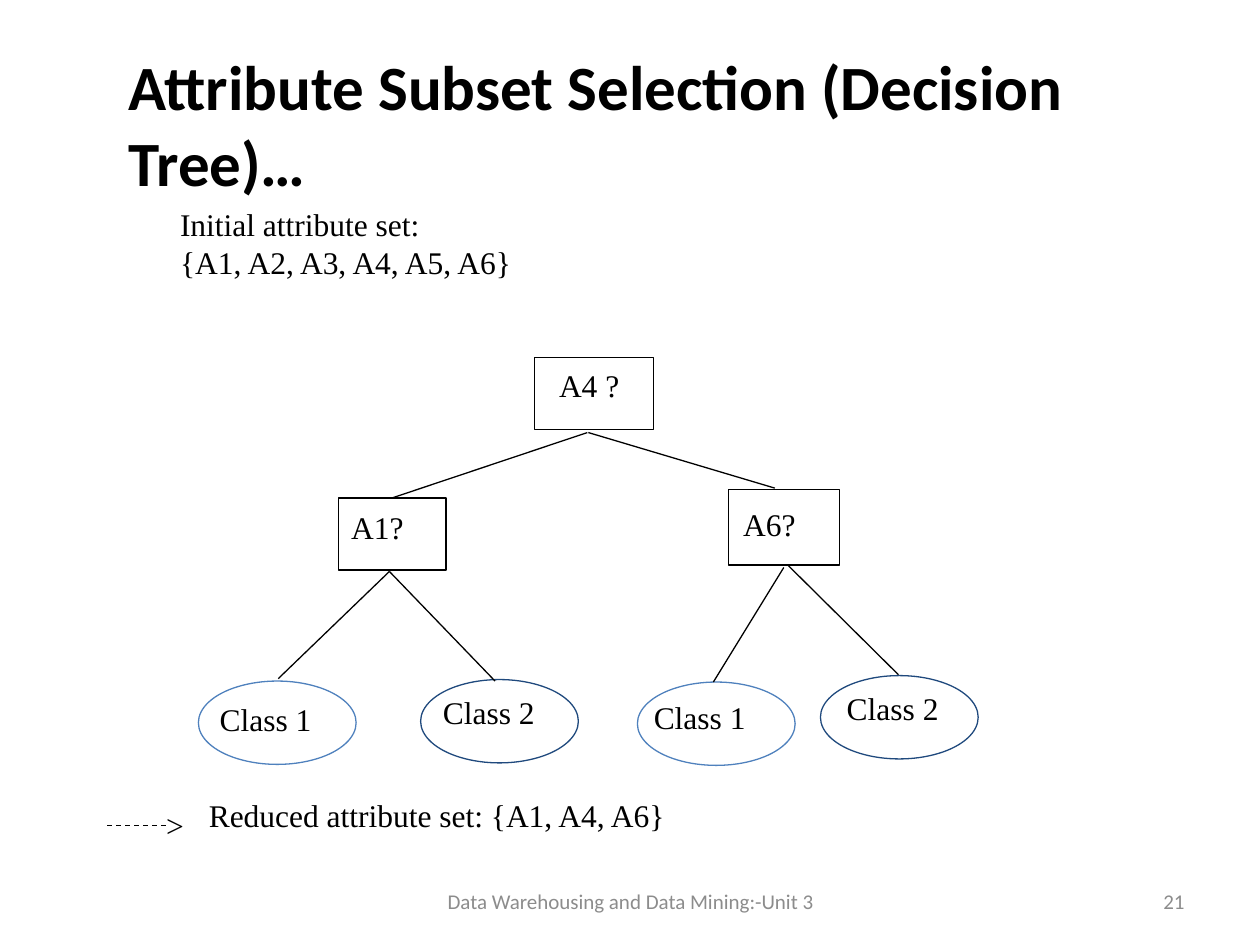
from dataclasses import dataclass

from lxml.etree import SubElement
from pptx import Presentation
from pptx.dml.color import RGBColor
from pptx.enum.dml import MSO_LINE_DASH_STYLE as Dash
from pptx.enum.shapes import MSO_CONNECTOR as Connector, MSO_SHAPE as Shape
from pptx.enum.text import MSO_ANCHOR as Anchor, PP_ALIGN as Align
from pptx.oxml.ns import qn
from pptx.util import Cm, Pt


@dataclass(frozen=True)
class Theme:
    ink: str = "000000"
    muted: str = "8C8C8C"
    class_one: str = "4F81BD"
    class_two: str = "1F497D"
    line_width: float = 0.75
    heading_font: str = "Calibri"
    body_font: str = "Times New Roman"
    heading_size: int = 36
    body_size: int = 18
    footer_size: int = 12


THEME = Theme()
BODY = {"name": THEME.body_font, "size": Pt(THEME.body_size)}
HEADING = {"name": THEME.heading_font, "size": Pt(THEME.heading_size), "bold": True}
FOOTER = {"name": THEME.heading_font, "size": Pt(THEME.footer_size)}


def set_values(target, values):
    for name, value in values.items():
        setattr(target, name, value)


def set_line(line, color):
    line.color.rgb = RGBColor.from_string(color)
    line.width = Pt(THEME.line_width)


def add_text(slide, box, lines, style=BODY, color=THEME.ink, align=Align.LEFT, anchor=Anchor.TOP):
    frame = slide.shapes.add_textbox(*map(Cm, box)).text_frame
    set_values(frame, {"word_wrap": True, "vertical_anchor": anchor})
    for index, text in enumerate(lines):
        paragraph = frame.add_paragraph() if index else frame.paragraphs[0]
        paragraph.alignment = align
        run = paragraph.add_run()
        run.text = text
        set_values(run.font, style)
        run.font.color.rgb = RGBColor.from_string(color)


def add_line(slide, start, end, dash=None):
    connector = slide.shapes.add_connector(Connector.STRAIGHT, *map(Cm, (*start, *end)))
    set_line(connector.line, THEME.ink)
    if dash:
        connector.line.dash_style = dash
    SubElement(connector._element.spPr, qn("a:effectLst"))


def add_node(slide, box, kind, color, text, label_offset, label_width):
    left, top, width, height = box
    shape = slide.shapes.add_shape(kind, *map(Cm, box))
    shape.shadow.inherit = False
    shape.fill.background()
    set_line(shape.line, color)
    across, down = label_offset
    add_text(slide, (left + across, top + down, label_width, 1.27), [text])


def add_header(slide, box):
    left, top, width, height = box
    add_text(slide, (left, top, width, 3.33),
             ["Attribute Subset Selection (Decision Tree)…"], HEADING)
    add_text(slide, (left + 1.04, top + 3.17, 9.65, 2.29),
             ["Initial attribute set:", "{A1, A2, A3, A4, A5, A6}"])


def add_tree(slide, box):
    left, top, width, height = box
    tests = [
        ("A4 ?", 6.77, 0, 2.41, 1.45, (0.25, 0.05), 2.46),
        ("A1?", 2.83, 2.83, 2.16, 1.45, (0, 0.08), 1.93),
        ("A6?", 10.68, 2.66, 2.24, 1.52, (0.05, 0.18), 1.93),
    ]
    for text, x, y, wide, high, offset, label_width in tests:
        add_node(slide, (left + x, top + y, wide, high), Shape.RECTANGLE,
                 THEME.ink, text, offset, label_width)

    classes = [
        ("Class 1", 0, 6.52, THEME.class_one, (0.18, 0.25)),
        ("Class 2", 4.48, 6.49, THEME.class_two, (0.2, 0.15)),
        ("Class 1", 8.85, 6.54, THEME.class_one, (0.08, 0.2)),
        ("Class 2", 12.54, 6.41, THEME.class_two, (0.28, 0.15)),
    ]
    for text, x, y, color, offset in classes:
        add_node(slide, (left + x, top + y, 3.18, 1.68), Shape.OVAL,
                 color, text, offset, 2.97)

    branches = [
        ((7.84, 1.51), (3.9, 2.83)),
        ((7.86, 1.51), (11.62, 2.63)),
        ((3.85, 4.31), (1.61, 6.47)),
        ((3.85, 4.31), (5.98, 6.52)),
        ((11.8, 4.23), (10.38, 6.54)),
        ((11.88, 4.18), (14.11, 6.39)),
    ]
    for branch in branches:
        start, end = ((left + x, top + y) for x, y in branch)
        add_line(slide, start, end)


def add_result(slide, box):
    left, top, width, height = box
    arrow_top = top + 0.71
    add_line(slide, (left, arrow_top), (left + 1.22, arrow_top), Dash.DASH)
    add_text(slide, (left + 0.94, top + 0.2, 0.86, 1.02), [">"])
    add_text(slide, (left + 1.8, top, width - 1.8, height),
             ["Reduced attribute set: {A1, A4, A6}"])


def add_footer(slide, box):
    left, top, width, height = box
    number_width = 5.92
    add_text(slide, (left, top, 8.05, height), ["Data Warehousing and Data Mining:-Unit 3"],
             FOOTER, THEME.muted, Align.CENTER, Anchor.MIDDLE)
    add_text(slide, (left + width - number_width, top, number_width, height), ["21"],
             FOOTER, THEME.muted, Align.RIGHT, Anchor.MIDDLE)


def build():
    presentation = Presentation()
    set_values(presentation, {"slide_width": Cm(25.4), "slide_height": Cm(19.05)})
    slide = presentation.slides.add_slide(presentation.slide_layouts[6])
    add_footer(slide, (8.69, 17.65, 15.44, 1.02))
    add_header(slide, (2.34, 0.84, 21.39, 5.46))
    add_tree(slide, (4, 7.21, 15.72, 8.2))
    add_result(slide, (2.16, 15.93, 14.88, 1.27))
    presentation.save("out.pptx")


build()
